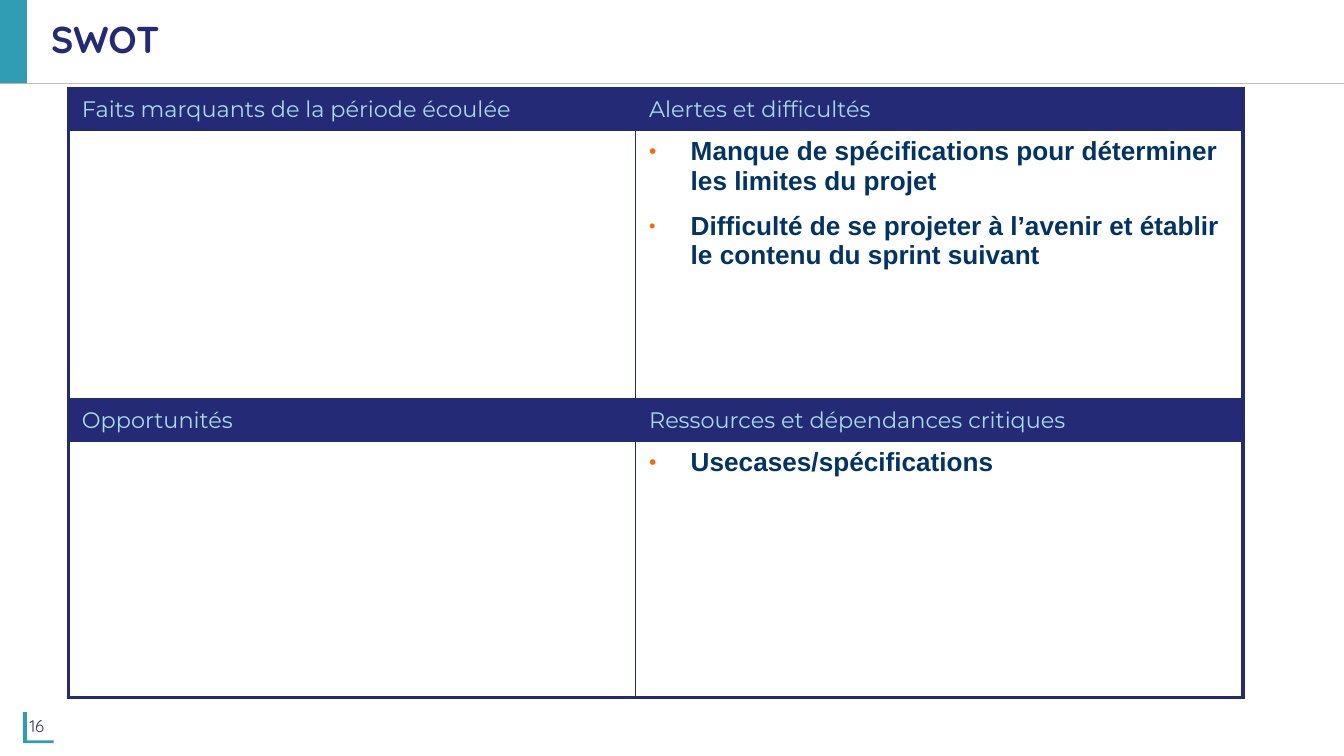
"""Build a SWOT slide with a bordered four-part table."""
from dataclasses import dataclass

from lxml.etree import SubElement
from pptx import Presentation
from pptx.dml.color import RGBColor
from pptx.enum.shapes import MSO_CONNECTOR as Connector, MSO_SHAPE as Shape
from pptx.enum.text import MSO_ANCHOR as Anchor, MSO_AUTO_SIZE as AutoSize, PP_ALIGN as Align
from pptx.oxml.ns import qn
from pptx.util import Inches, Pt

NAVY, TEAL = "242A75", "309DB5"
COLUMNS = (4.22, 4.52)
HEADER_HEIGHT = 0.31


@dataclass(frozen=True)
class Style:
    """Look of a run of text."""
    font: str
    size: float
    color: str
    bold: bool = False


@dataclass(frozen=True)
class Quadrant:
    """Heading and bullets of one part of the table."""
    heading: str
    bullets: tuple[str, ...] = ()


TITLE = Style("Quicksand", 20, NAVY, True)
NUMBER = Style("Quicksand", 9, "333366")
HEADING = Style("Montserrat", 12, "A6DCE7")
BULLET = Style("Arial", 14, "003366", True)

BANDS = (
    (2, (
        Quadrant("Faits marquants de la période écoulée"),
        Quadrant("Alertes et difficultés", (
            "Manque de spécifications pour déterminer les limites du projet",
            "Difficulté de se projeter à l’avenir et établir le contenu du sprint suivant",
        )),
    )),
    (1.91, (
        Quadrant("Opportunités"),
        Quadrant("Ressources et dépendances critiques", ("Usecases/spécifications",)),
    )),
)


def rgb(color: str) -> RGBColor:
    """Turn a hex string into a colour."""
    return RGBColor.from_string(color)


def paint(item, color: str) -> None:
    """Fill a shape or a cell with one colour."""
    item.fill.solid()
    item.fill.fore_color.rgb = rgb(color)


def add_span(para, text: str, style: Style) -> None:
    """Add one styled run to a paragraph."""
    span = para.add_run()
    span.text = text
    span.font.name = style.font
    span.font.size = Pt(style.size)
    span.font.bold = style.bold
    span.font.color.rgb = rgb(style.color)


def add_bullet(para, text: str, index: int) -> None:
    """Write a bulleted line with a hanging indent."""
    if index:
        para.space_before = Pt(8.4)
    add_span(para, text, BULLET)
    properties = para._p.get_or_add_pPr()
    properties.set("marL", str(Inches(0.31)))
    properties.set("indent", str(Inches(-0.31)))
    color = SubElement(properties, qn("a:buClr"))
    SubElement(color, qn("a:srgbClr"), val="FF6600")
    SubElement(properties, qn("a:buSzPct"), val="70000" if index else "80000")
    SubElement(properties, qn("a:buFont"), typeface="Arial")
    SubElement(properties, qn("a:buChar"), char="•")


def add_borders(cell, row: int, column: int, last_row: int) -> None:
    """Draw thick borders on the table's outer edge and thin ones inside."""
    outer = {
        "a:lnL": column == 0,
        "a:lnR": column == len(COLUMNS) - 1,
        "a:lnT": row == 0,
        "a:lnB": row == last_row,
    }
    properties = cell._tc.get_or_add_tcPr()
    for tag, thick in outer.items():
        border = SubElement(properties, qn(tag), w=str(Pt(2.25 if thick else 1)))
        fill = SubElement(border, qn("a:solidFill"))
        SubElement(fill, qn("a:srgbClr"), val=NAVY)


def add_swot(page) -> None:
    """Add the table of headings and bullet lists."""
    heights = [height for body, _ in BANDS for height in (HEADER_HEIGHT, body)]
    frame = page.shapes.add_table(
        len(heights), len(COLUMNS), Inches(0.51), Inches(0.66),
        Inches(sum(COLUMNS)), Inches(sum(heights)))
    table = frame.table
    table.first_row = table.horz_banding = False
    for column, width in zip(table.columns, COLUMNS):
        column.width = Inches(width)
    for row, height in zip(table.rows, heights):
        row.height = Inches(height)
    for band, (_, quadrants) in enumerate(BANDS):
        for column, quadrant in enumerate(quadrants):
            header, body = (table.cell(2 * band + step, column) for step in (0, 1))
            for step, cell in enumerate((header, body)):
                add_borders(cell, 2 * band + step, column, len(heights) - 1)
                paint(cell, "FFFFFF" if step else NAVY)
            header.vertical_anchor = Anchor.MIDDLE
            add_span(header.text_frame.paragraphs[0], quadrant.heading, HEADING)
            for index, text in enumerate(quadrant.bullets):
                lines = body.text_frame
                para = lines.add_paragraph() if index else lines.paragraphs[0]
                add_bullet(para, text, index)


def add_title(page) -> None:
    """Place and format the title."""
    title = page.shapes.title
    title.left, title.top = Inches(0.28), Inches(0)
    title.width, title.height = Inches(9.49), Inches(0.61)
    title.text_frame.auto_size = AutoSize.NONE
    title.text_frame.vertical_anchor = Anchor.MIDDLE
    para = title.text_frame.paragraphs[0]
    para.alignment = Align.LEFT
    para.line_spacing = 0.9
    add_span(para, "SWOT", TITLE)


def add_header_band(page) -> None:
    """Add the rule and the side block of the header."""
    rule = page.shapes.add_connector(
        Connector.STRAIGHT, Inches(0), Inches(0.62), Inches(10), Inches(0.62))
    rule.line.color.rgb = rgb("BFBFBF")
    rule.line.width = Pt(0.75)
    SubElement(rule._element.spPr, qn("a:effectLst"))
    block = page.shapes.add_shape(
        Shape.RECTANGLE, Inches(0), Inches(-0.01), Inches(0.2), Inches(0.63))
    block.shadow.inherit = False
    block.line.fill.background()
    paint(block, TEAL)


def add_page_number(page, number: str) -> None:
    """Add the page number and its corner bracket."""
    outline = ((0.2, 5.3), (0.17, 5.3), (0.17, 5.53), (0.4, 5.53), (0.4, 5.51), (0.2, 5.51))
    points = [(Inches(x), Inches(y)) for x, y in outline]
    builder = page.shapes.build_freeform(*points[0])
    builder.add_line_segments(points[1:], close=True)
    bracket = builder.convert_to_shape()
    bracket.shadow.inherit = False
    bracket.line.fill.background()
    paint(bracket, TEAL)
    box = page.shapes.add_textbox(Inches(0.15), Inches(5.25), Inches(0.86), Inches(0.3))
    frame = box.text_frame
    frame.word_wrap = True
    frame.vertical_anchor = Anchor.MIDDLE
    frame.margin_left = frame.margin_right = Inches(0.07)
    frame.margin_top = frame.margin_bottom = Inches(0.04)
    add_span(frame.paragraphs[0], number, NUMBER)


def main() -> None:
    """Build and save the deck."""
    deck = Presentation()
    deck.slide_width = Inches(10)
    deck.slide_height = deck.slide_width * 9 // 16
    page = deck.slides.add_slide(deck.slide_layouts[5])
    add_header_band(page)
    add_page_number(page, "16")
    add_title(page)
    add_swot(page)
    deck.save("out.pptx")


if __name__ == "__main__":
    main()
